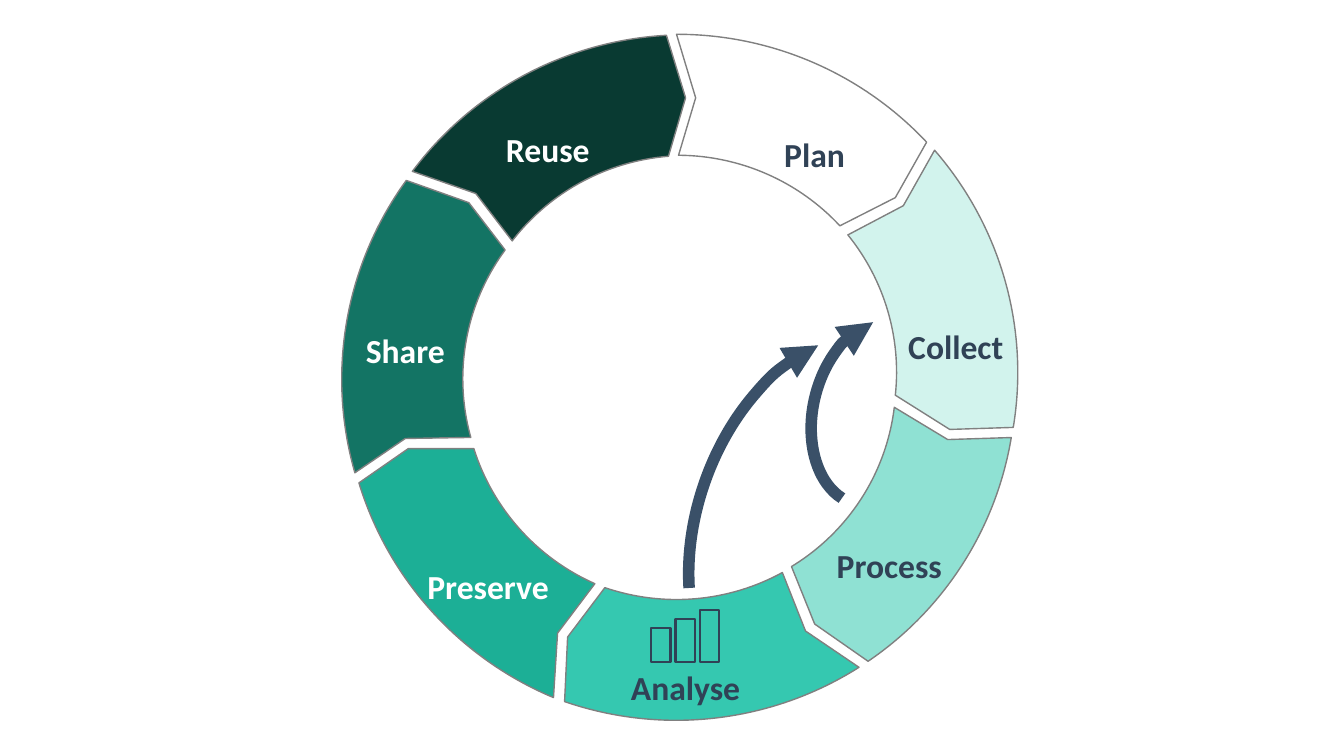
import math
from dataclasses import dataclass

from lxml import etree
from pptx import Presentation
from pptx.dml.color import RGBColor
from pptx.enum.shapes import MSO_SHAPE
from pptx.oxml.ns import qn
from pptx.util import Pt

RECTANGLE = MSO_SHAPE.RECTANGLE
ARC = MSO_SHAPE.ARC

EMU_PER_PX = 9144  # 100 px to the inch
RING_CENTRE = (675, 375)
RING_ROTATION = 252.6
CURVE_STEPS = 16
Point = tuple[float, float]


@dataclass(frozen=True)
class Theme:
    font: str = "Calibri"
    label_size: float = 24
    dark_text: str = "304256"
    light_text: str = "FFFFFF"
    outline: str = "808080"
    outline_width: float = 1
    bar_width: float = 1.5
    arrow: str = "3A5068"
    arrow_width: float = 8.25


@dataclass(frozen=True)
class Edge:
    """End of a ring segment, with its chevron tip between the two rims."""
    outer: Point
    tip: Point
    inner: Point


@dataclass(frozen=True)
class Stage:
    name: str
    fill: str
    text_color: str
    label_at: Point
    start: Edge
    end: Edge


@dataclass(frozen=True)
class LoopArrow:
    left: int
    top: int
    width: int
    height: int
    rotation: float
    start_angle: float
    end_angle: float


THEME = Theme()
DARK, LIGHT = THEME.dark_text, THEME.light_text

STAGES = [
    Stage("Plan", "FFFFFF", DARK, (768, 128),
          Edge((671, 34), (690, 97), (673, 154)),
          Edge((919, 141), (888, 196), (833, 224))),
    Stage("Collect", "D2F3ED", DARK, (891, 318),
          Edge((927, 149), (896, 204), (841, 233)),
          Edge((1005, 424), (942, 426), (888, 392))),
    Stage("Process", "8FE1D3", DARK, (820, 536),
          Edge((1003, 434), (940, 436), (887, 404)),
          Edge((861, 656), (808, 619), (785, 562))),
    Stage("Analyse", "35C8B0", DARK, (616, 657),
          Edge((852, 662), (799, 626), (776, 568)),
          Edge((560, 696), (563, 632), (600, 583))),
    Stage("Preserve", "1CAF96", LIGHT, (414, 557),
          Edge((549, 692), (553, 628), (590, 579)),
          Edge((356, 479), (405, 445), (470, 445))),
    Stage("Share", "137464", LIGHT, (353, 322),
          Edge((352, 469), (402, 435), (467, 434)),
          Edge((403, 179), (465, 201), (501, 248))),
    Stage("Reuse", "093A32", LIGHT, (492, 123),
          Edge((409, 170), (472, 192), (508, 239)),
          Edge((661, 35), (680, 97), (663, 155))),
]

LOOP_ARROWS = [
    LoopArrow(777, 345, 187, 128, 283.6, 189, 343.5),
    LoopArrow(627, 391, 391, 262, 289.2, 227, 337.3),
]

BAR_HEIGHTS = [34, 43, 52]
BAR_LEFT, BAR_BOTTOM, BAR_WIDTH, BAR_PITCH = 646, 657, 19, 24


def px(length: float) -> int:
    return round(length * EMU_PER_PX)


def set_line(shape, color: str, width: float) -> None:
    shape.shadow.inherit = False
    shape.line.color.rgb = RGBColor.from_string(color)
    shape.line.width = Pt(width)


def turned(point: Point, degrees: float) -> Point:
    """The point after a clockwise turn about the ring's centre."""
    cx, cy = RING_CENTRE
    x, y = point[0] - cx, point[1] - cy
    cos, sin = math.cos(math.radians(degrees)), math.sin(math.radians(degrees))
    return cx + x * cos - y * sin, cy + x * sin + y * cos


def rim(start: Point, end: Point) -> list[Point]:
    """Four Bezier points of the short way round the ring."""
    cx, cy = RING_CENTRE
    first = math.atan2(start[1] - cy, start[0] - cx)
    last = math.atan2(end[1] - cy, end[0] - cx)
    sweep = math.remainder(last - first, math.tau)
    reach = 4 / 3 * math.tan(sweep / 4)
    growth = (math.dist(end, RING_CENTRE) - math.dist(start, RING_CENTRE)) / sweep

    def handle(point: Point, angle: float, length: float) -> Point:
        return (point[0] + length * (growth * math.cos(angle) - (point[1] - cy)),
                point[1] + length * (growth * math.sin(angle) + (point[0] - cx)))

    return [start, handle(start, first, reach), handle(end, last, -reach), end]


def along(curve: list[Point]) -> list[Point]:
    """Points on a cubic Bezier curve, both ends included."""
    shares = [step / CURVE_STEPS for step in range(CURVE_STEPS + 1)]
    return [tuple(sum(math.comb(3, i) * t**i * (1 - t)**(3 - i) * point[axis]
                      for i, point in enumerate(curve)) for axis in (0, 1))
            for t in shares]


def add_segment(slide, stage: Stage) -> None:
    start, end = (Edge(*(turned(point, -RING_ROTATION)
                         for point in (edge.outer, edge.tip, edge.inner)))
                  for edge in (stage.start, stage.end))
    outer, inner = rim(start.outer, end.outer), rim(end.inner, start.inner)
    extent = [(px(x), px(y)) for x, y in
              [*along(outer), end.tip, *along(inner), start.tip]]
    builder = slide.shapes.build_freeform(*extent[0])
    builder.add_line_segments(extent[1:], close=True)
    segment = builder.convert_to_shape()

    outline = segment._element.find(".//" + qn("a:path"))
    for command in list(outline):
        outline.remove(command)
    for tag, points in [("moveTo", outer[:1]), ("cubicBezTo", outer[1:]),
                        ("lnTo", [end.tip]), ("lnTo", inner[:1]),
                        ("cubicBezTo", inner[1:]), ("lnTo", [start.tip]),
                        ("close", [])]:
        command = etree.SubElement(outline, qn(f"a:{tag}"))
        for x, y in points:
            etree.SubElement(command, qn("a:pt"), x=str(px(x) - segment.left),
                             y=str(px(y) - segment.top))

    middle = ((segment.left + segment.width / 2) / EMU_PER_PX,
              (segment.top + segment.height / 2) / EMU_PER_PX)
    x, y = turned(middle, RING_ROTATION)
    segment.left += px(x - middle[0])
    segment.top += px(y - middle[1])
    segment.rotation = RING_ROTATION
    segment.fill.solid()
    segment.fill.fore_color.rgb = RGBColor.from_string(stage.fill)
    set_line(segment, THEME.outline, THEME.outline_width)


def add_text(slide, text: str, at: Point, *, color: str, size: float,
             bold: bool = True, width: int = 187, height: int = 50) -> None:
    label = slide.shapes.add_textbox(px(at[0]), px(at[1]), px(width), px(height))
    label.text_frame.word_wrap = True
    run = label.text_frame.paragraphs[0].add_run()
    run.text = text
    run.font.name = THEME.font
    run.font.size = Pt(size)
    run.font.bold = bold
    run.font.color.rgb = RGBColor.from_string(color)


def add_bar(slide, index: int, height: int) -> None:
    bar = slide.shapes.add_shape(
        RECTANGLE, px(BAR_LEFT + index * BAR_PITCH), px(BAR_BOTTOM - height),
        px(BAR_WIDTH), px(height))
    bar.fill.background()
    set_line(bar, THEME.dark_text, THEME.bar_width)


def add_loop_arrow(slide, loop: LoopArrow) -> None:
    arrow = slide.shapes.add_shape(
        ARC, px(loop.left), px(loop.top), px(loop.width), px(loop.height))
    # An angle is kept in 60000ths of a degree, an adjustment in 100000ths.
    arrow.adjustments[0] = loop.start_angle * 0.6
    arrow.adjustments[1] = loop.end_angle * 0.6
    arrow.rotation = loop.rotation
    arrow.fill.background()
    set_line(arrow, THEME.arrow, THEME.arrow_width)
    line = arrow.line._get_or_add_ln()
    etree.SubElement(line, qn("a:tailEnd"), type="triangle")


def main() -> None:
    presentation = Presentation()
    presentation.slide_width, presentation.slide_height = px(1333), px(750)
    slide = presentation.slides.add_slide(presentation.slide_layouts[6])
    for stage in STAGES:
        add_segment(slide, stage)
    for stage in STAGES:
        add_text(slide, stage.name, stage.label_at,
                 color=stage.text_color, size=THEME.label_size)
    for index, height in enumerate(BAR_HEIGHTS):
        add_bar(slide, index, height)
    for loop in LOOP_ARROWS:
        add_loop_arrow(slide, loop)
    presentation.save("out.pptx")


if __name__ == "__main__":
    main()
